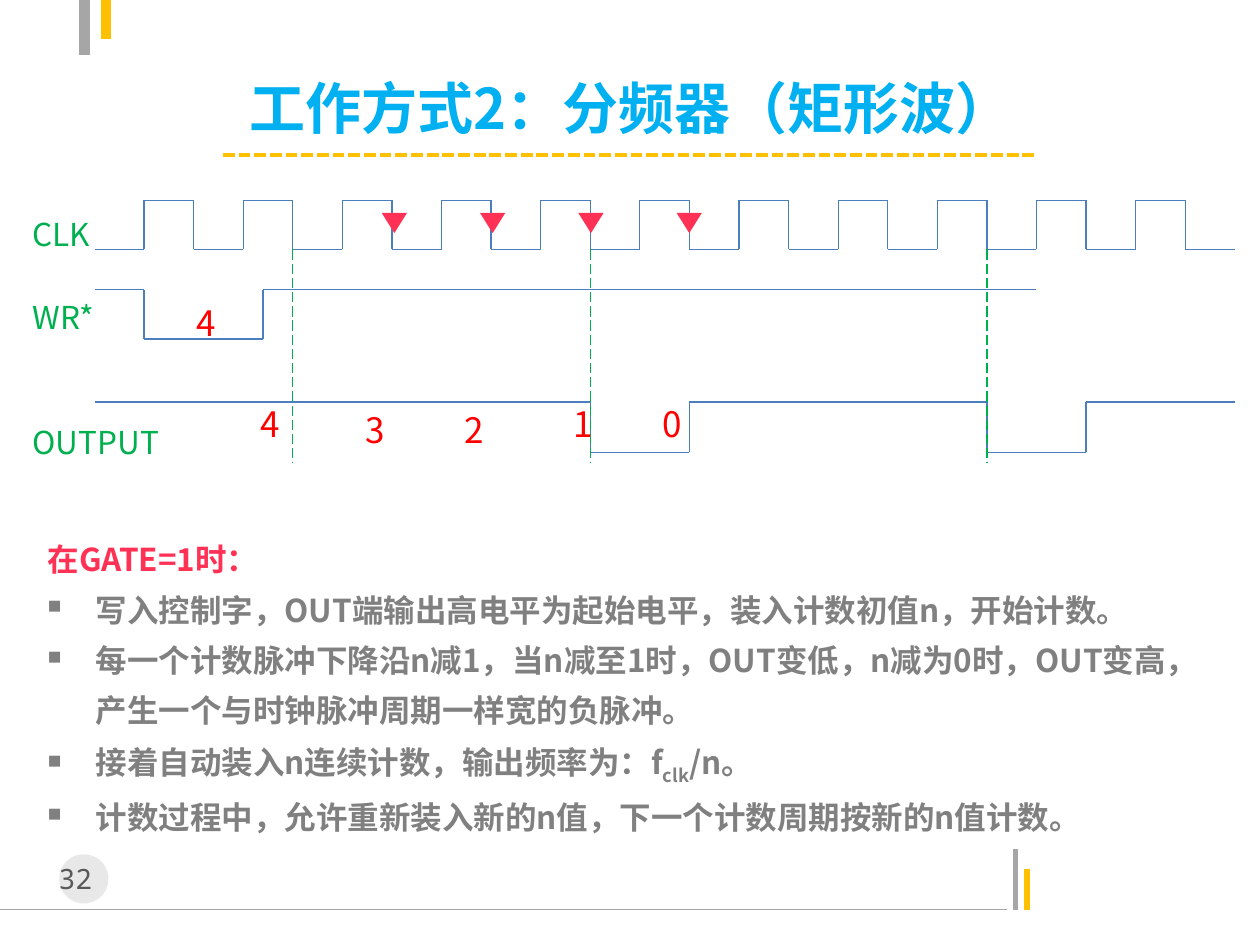
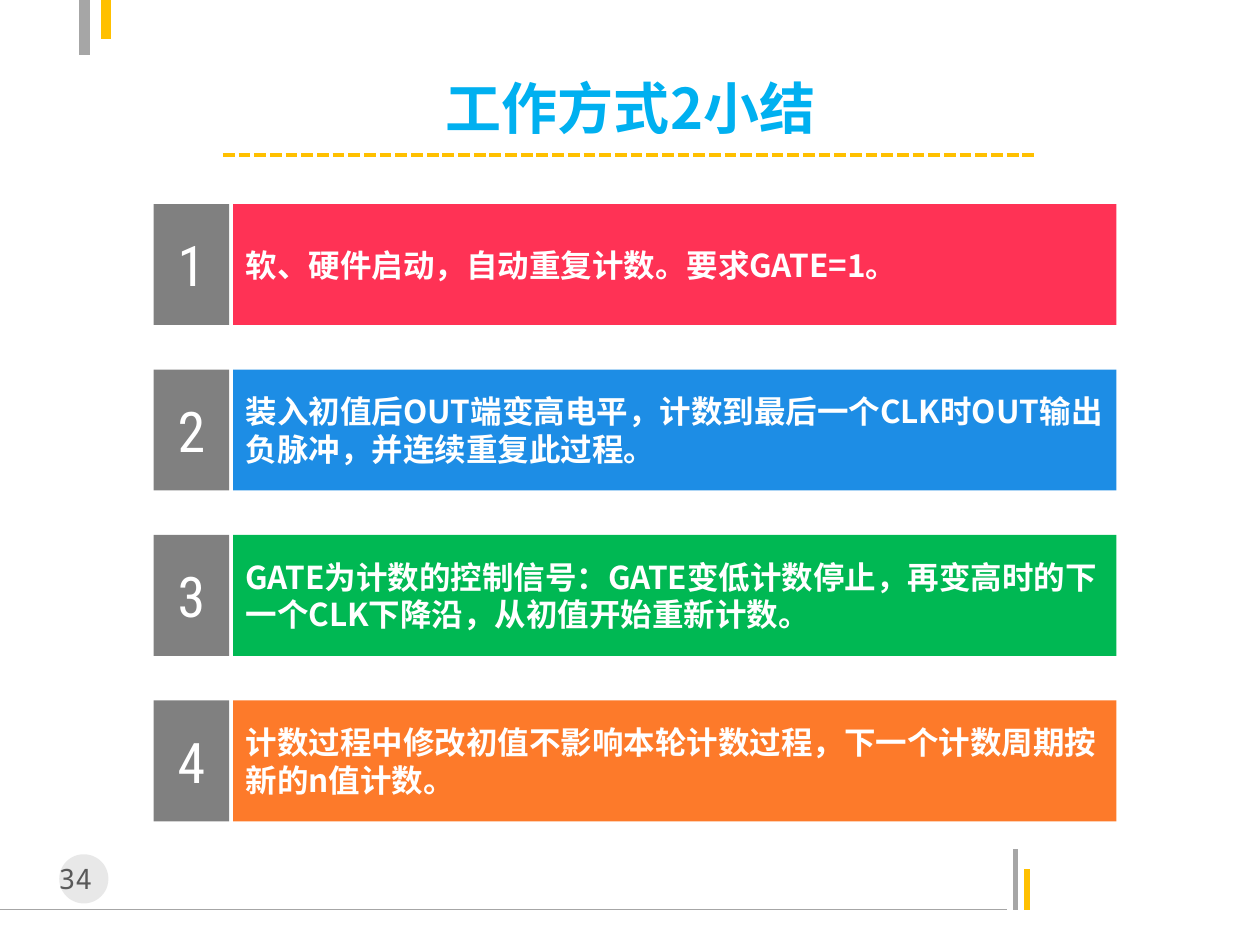
from itertools import pairwise
from lxml.etree import SubElement
from pptx import Presentation
from pptx.dml.color import RGBColor
from pptx.enum.dml import MSO_LINE
from pptx.enum.shapes import MSO_CONNECTOR, MSO_SHAPE
from pptx.enum.text import MSO_ANCHOR, PP_ALIGN
from pptx.oxml.ns import qn
from pptx.util import Inches, Pt

# The slide is a grid of 100 columns by 75 rows
CELL = Inches(0.1)
COLS, ROWS = 100, 75
SANS, MONO, SLIM = "Noto Sans CJK SC", "Noto Sans Mono", "Roboto Condensed"
HUE = {
    "title": "00B0F0", "gold": "FFC000", "rule": "A6A6A6", "disc": "BFBFBF",
    "page": "595959", "wave": "4B7EBC", "green": "00B050", "count": "FF0000",
    "red": "FF3255", "grey": "808080", "blue": "1D8DE5", "leaf": "00B853",
    "peach": "FD7A2A", "white": "FFFFFF",
}


def line(slide, x1, y1, x2, y2, hue, width=0.75, dash=None):
    edge = slide.shapes.add_connector(
        MSO_CONNECTOR.STRAIGHT, *(round(v * CELL) for v in (x1, y1, x2, y2)))
    edge.line.color.rgb = RGBColor.from_string(HUE[hue])
    edge.line.width = Pt(width)
    if dash:
        edge.line.dash_style = dash
    SubElement(edge._element.spPr, qn("a:effectLst"))


def put(slide, text, x, y, w, h, kind=None, fill=None, size=18, hue="white",
        bold=False, font=SANS, align=PP_ALIGN.LEFT, anchor=MSO_ANCHOR.TOP,
        space=None, wrap=True):
    """Place text, in a filled shape if kind is given; |x| is a subscript."""
    place = [round(v * CELL) for v in (x, y, w, h)]
    if kind:
        box = slide.shapes.add_shape(kind, *place)
        box.shadow.inherit = False
        box.fill.solid()
        box.fill.fore_color.rgb = RGBColor.from_string(HUE[fill])
        box.line.fill.background()
    else:
        box = slide.shapes.add_textbox(*place)
    frame = box.text_frame
    frame.word_wrap = wrap
    frame.vertical_anchor = anchor
    for i, row in enumerate(text.split("\n") if text else []):
        para = frame.add_paragraph() if i else frame.paragraphs[0]
        para.alignment = align
        para.line_spacing = space
        for j, part in enumerate(row.split("|")):
            run = para.add_run()
            run.text = part
            run.font.size, run.font.bold, run.font.name = Pt(size), bold, font
            run.font.color.rgb = RGBColor.from_string(HUE[hue])
            props = run._r.get_or_add_rPr()
            SubElement(props, qn("a:ea")).set("typeface", font)
            if j % 2:
                props.set("baseline", "-25000")
    return box


deck = Presentation()
deck.slide_width, deck.slide_height = COLS * CELL, ROWS * CELL

# Shared frame: corner bars, footer, page number and title
pages = []
for page, title in (("32 ", "工作方式2：分频器（矩形波）"), ("34 ", "工作方式2小结")):
    slide = deck.slides.add_slide(deck.slide_layouts[6])
    pages.append(slide)
    line(slide, 0, 72.2, 79.9, 72.2, "rule")
    line(slide, 80.6, 72.2, 80.6, 67.4, "rule", 3)
    line(slide, 81.5, 72.2, 81.5, 69, "gold", 3)
    line(slide, 6.7, 0, 6.7, 4.4, "rule", 6)
    line(slide, 8.4, 0, 8.4, 3.1, "gold", 6)
    disc = put(slide, "", 4.7, 67.8, 3.9, 3.9, kind=MSO_SHAPE.OVAL, fill="disc")
    tint = disc._element.spPr.find(qn("a:solidFill"))[0]
    SubElement(tint, qn("a:alpha")).set("val", "35000")
    put(slide, page, 3.1, 67.9, 7.1, 3.7, size=16, hue="page", font=MONO,
        align=PP_ALIGN.CENTER)
    put(slide, title, 13.8, 6, 72.5, 5, size=32, hue="title", bold=True,
        align=PP_ALIGN.CENTER, anchor=MSO_ANCHOR.MIDDLE, wrap=False)
    line(slide, 17.7, 12.3, 82.3, 12.3, "gold", 2.25, MSO_LINE.SQUARE_DOT)
chart, recap = pages

# Timing chart: one step is half a clock period
LEFT, STEPS = 7.5, 23
STEP = (98 - LEFT) / STEPS
clock = [(i + end, 15.9 if i % 2 else 19.8)
         for i in range(STEPS) for end in (0, 1)]
write = [(0, 23), (1, 23), (1, 26.9), (3.4, 26.9), (3.4, 23), (19, 23)]
out = [(0, 31.9), (10, 31.9), (10, 35.9), (12, 35.9), (12, 31.9),
       (18, 31.9), (18, 35.9), (20, 35.9), (20, 31.9), (STEPS, 31.9)]
for wave in (clock, write, out):
    for (a, top), (b, end) in pairwise(wave):
        line(chart, LEFT + a * STEP, top, LEFT + b * STEP, end, "wave")
for mark in (4, 10, 18):
    x = LEFT + mark * STEP
    line(chart, x, 19.8, x, 36.7, "green", dash=MSO_LINE.LONG_DASH)

# Falling edges that count
for i in range(4):
    flag = put(chart, "", 30.3 + 7.8 * i, 16.9, 2, 1.6,
               kind=MSO_SHAPE.ISOSCELES_TRIANGLE, fill="red")
    flag.rotation = 180

# Signal names and count values
for name, y, w in (("CLK", 15.7, 8.4), ("WR*", 22.3, 8.4), ("OUTPUT", 32.2, 13.8)):
    put(chart, name, 1.6, y, w, 4.5, hue="green", space=1.29)
for count, x, y in (("4", 14.6, 22.5), ("4", 19.7, 30.5), ("3", 28, 31),
                    ("2", 35.9, 31), ("1", 44.5, 30.5), ("0", 51.6, 30.5)):
    put(chart, count, x, y, 3.8, 5.4, size=20, hue="count", space=1.29)

# Explanation
notes = put(chart, """在GATE=1时：
写入控制字，OUT端输出高电平为起始电平，装入计数初值n，开始计数。
每一个计数脉冲下降沿n减1，当n减至1时，OUT变低，n减为0时，OUT变高，产生一个与时钟脉冲周期一样宽的负脉冲。
接着自动装入n连续计数，输出频率为：f|clk|/n。
计数过程中，允许重新装入新的n值，下一个计数周期按新的n值计数。""",
            2.8, 41.4, 93.5, 25.2, hue="grey", bold=True, space=1.33)
head, *items = notes.text_frame.paragraphs
head.runs[0].font.color.rgb = RGBColor.from_string(HUE["red"])
for item in items:
    props = item._p.get_or_add_pPr()
    props.set("marL", str(round(3.8 * CELL)))
    props.set("indent", str(round(-3.8 * CELL)))
    SubElement(props, qn("a:buSzPct")).set("val", "60000")
    SubElement(props, qn("a:buChar")).set("char", "■")

# Recap bars
bars = (
    ("red", "软、硬件启动，自动重复计数。要求GATE=1。"),
    ("blue", "装入初值后OUT端变高电平，计数到最后一个CLK时OUT输出负脉冲，并连续重复此过程。"),
    ("leaf", "GATE为计数的控制信号：GATE变低计数停止，再变高时的下一个CLK下降沿，从初值开始重新计数。"),
    ("peach", "计数过程中修改初值不影响本轮计数过程，下一个计数周期按新的n值计数。"),
)
for i, (fill, text) in enumerate(bars):
    y = 16.2 + 13.13 * i
    put(recap, text, 18.5, y, 70.1, 9.6, kind=MSO_SHAPE.RECTANGLE, fill=fill,
        bold=True, anchor=MSO_ANCHOR.MIDDLE)
    put(recap, str(i + 1), 12.2, y, 6, 9.6, kind=MSO_SHAPE.RECTANGLE,
        fill="grey", size=32, font=SLIM, align=PP_ALIGN.CENTER,
        anchor=MSO_ANCHOR.MIDDLE)

deck.save("out.pptx")
